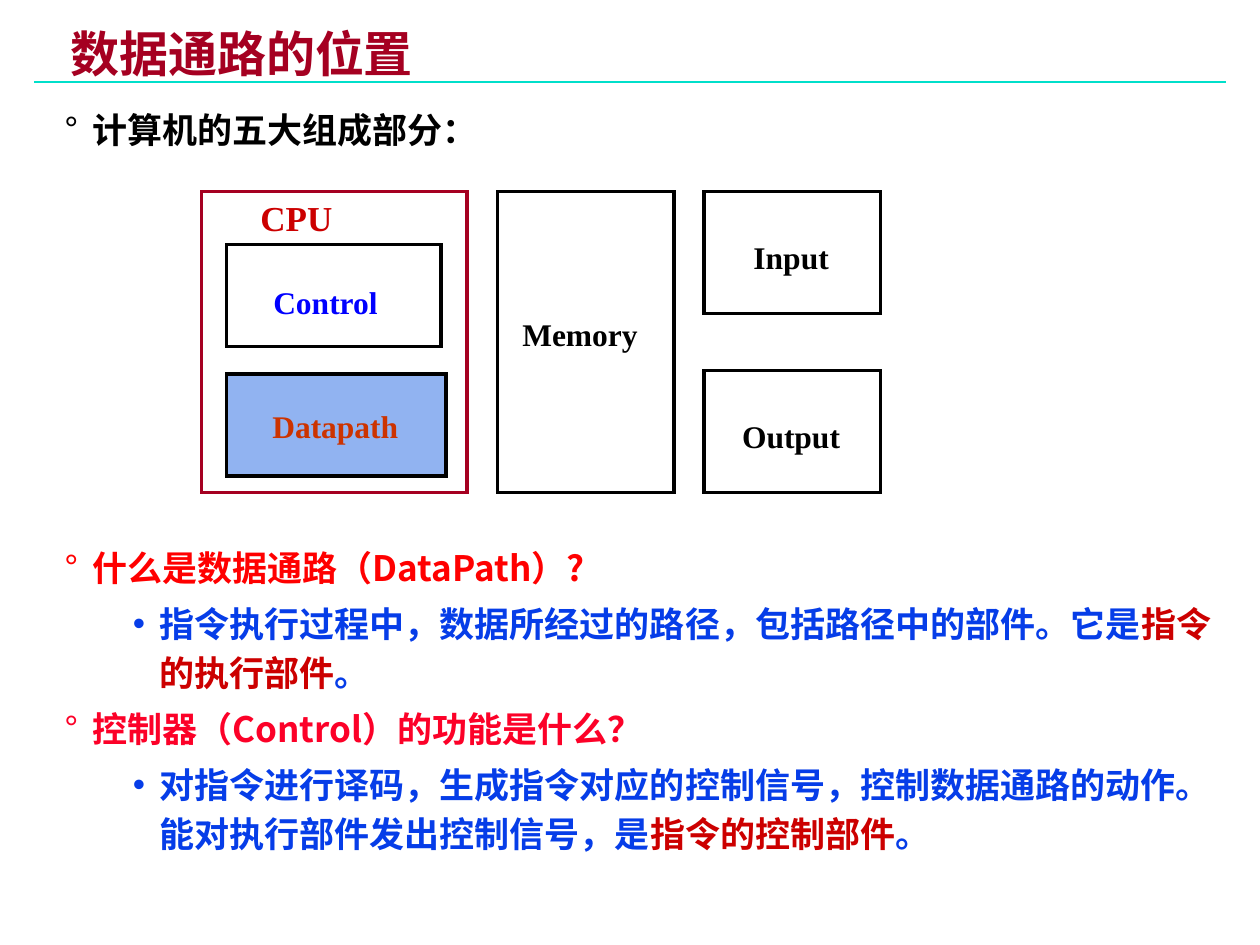
from lxml.etree import SubElement
from pptx import Presentation
from pptx.dml.color import RGBColor
from pptx.enum.shapes import MSO_CONNECTOR, MSO_SHAPE
from pptx.enum.text import PP_ALIGN
from pptx.oxml.ns import qn
from pptx.util import Cm, Pt

COLORS = {
    "crimson": "A50021", "rule": "00DFCA", "black": "000000", "red": "FF0000",
    "rose": "FC0128", "blue": "063DE8", "key": "CC0000",
    "control": "0000FF", "datapath": "CC3300", "datapath_fill": "91B3F1",
}
SANS, SERIF, TITLE = "Noto Sans CJK SC", "Times New Roman", "Arial"

# Bullet, left margin and hanging indent (cm) of each outline level
LEVELS = [("°", 0.56, 0.56), ("•", 1.91, 0.53)]

# Text, colour, size, frame (x, y, w, h), label (x, y, w in the frame), frame line, fill
COMPONENTS = [
    ("CPU", "key", 20, (0, 0, 5.36, 6.07), (0.94, -0.03, 2.3), "crimson", None),
    ("Control", "control", 18, (0.51, 1.07, 4.32, 2.06), (0.69, 0.64, 3), "black", None),
    ("Datapath", "datapath", 18, (0.51, 3.68, 4.42, 2.06), (0.67, 0.54, 3.35),
     "black", "datapath_fill"),
    ("Memory", "black", 18, (5.97, 0, 3.56, 6.07), (0.25, 2.36, 3.2), "black", None),
    ("Input", "black", 18, (10.13, 0, 3.56, 2.46), (0.75, 0.81, 2.4), "black", None),
    ("Output", "black", 18, (10.13, 3.61, 3.56, 2.46), (0.52, 0.81, 2.9), "black", None),
]

INTRO = [(0, [("计算机的五大组成部分：", "black")])]
QUESTIONS = [
    (0, [("什么是数据通路（DataPath）?", "red")]),
    (1, [("指令执行过程中，数据所经过的路径，包括路径中的部件。它是", "blue"),
         ("指令的执行部件", "key"), ("。", "blue")]),
    (0, [("控制器（Control）的功能是什么？", "rose")]),
    (1, [("对指令进行译码，生成指令对应的控制信号，控制数据通路的动作。"
          "能对执行部件发出控制信号，是", "blue"),
         ("指令的控制部件", "key"), ("。", "blue")]),
]


def rgb(name):
    return RGBColor.from_string(COLORS[name])


def add_run(paragraph, text, size, color, font):
    run = paragraph.add_run()
    run.text = text
    run.font.size = Pt(size)
    run.font.bold = True
    run.font.name = font
    run.font.color.rgb = rgb(color)
    SubElement(run.font._element, qn("a:ea"), typeface=SANS)


def add_frame(slide, x, y, w, h, margins, wrap=True):
    """Adds a text box and returns its text frame."""
    frame = slide.shapes.add_textbox(Cm(x), Cm(y), Cm(w), Cm(h)).text_frame
    frame.word_wrap = wrap
    frame.margin_left = frame.margin_right = Cm(margins[0])
    frame.margin_top = frame.margin_bottom = Cm(margins[1])
    return frame


def add_title(slide, x, y, w, h):
    rule = slide.shapes.add_connector(
        MSO_CONNECTOR.STRAIGHT, Cm(0.69), Cm(y + 1.09), Cm(24.71), Cm(y + 1.09))
    rule.line.color.rgb = rgb("rule")
    rule.line.width = Pt(1.5)
    SubElement(rule._element.spPr, qn("a:effectLst"))
    heading = add_frame(slide, x, y, w, h, (0.18, 0.08)).paragraphs[0]
    heading.line_spacing = 0.87
    add_run(heading, "数据通路的位置", 28, "crimson", TITLE)


def add_outline(slide, x, y, w, h, points, line_spacing=None):
    frame = add_frame(slide, x, y, w, h, (0.18, 0.08))
    for i, (level, runs) in enumerate(points):
        point = frame.add_paragraph() if i else frame.paragraphs[0]
        point.level = level
        bullet, margin, hanging = LEVELS[level]
        properties = point._p.get_or_add_pPr()
        properties.set("marL", str(Cm(margin)))
        properties.set("indent", str(-Cm(hanging)))
        SubElement(properties, qn("a:buFont"), typeface=TITLE)
        SubElement(properties, qn("a:buChar"), char=bullet)
        point.line_spacing = line_spacing
        if i:
            point.space_before = Pt(4)
        for text, color in runs:
            add_run(point, text, 20, color, SANS)


def add_component(slide, x, y, component):
    """Draws one computer part; x and y are the corner of the diagram."""
    text, color, size, (dx, dy, w, h), (label_x, label_y, label_w), line, fill = component
    left, top = x + dx, y + dy
    box = slide.shapes.add_shape(MSO_SHAPE.RECTANGLE, Cm(left), Cm(top), Cm(w), Cm(h))
    box.shadow.inherit = False
    box.line.color.rgb = rgb(line)
    box.line.width = Pt(2)
    SubElement(box.line._get_or_add_ln(), qn("a:miter"), lim="800000")
    if fill:
        box.fill.solid()
        box.fill.fore_color.rgb = rgb(fill)
    else:
        box.fill.background()
    label = add_frame(slide, left + label_x, top + label_y, label_w, 1.02,
                      (0.25, 0.13), wrap=False).paragraphs[0]
    label.alignment = PP_ALIGN.LEFT
    add_run(label, text, size, color, SERIF)


def add_diagram(slide, x, y):
    for component in COMPONENTS:
        add_component(slide, x, y, component)


def main():
    deck = Presentation()
    deck.slide_width, deck.slide_height = Cm(25.4), Cm(19.05)
    slide = deck.slides.add_slide(deck.slide_layouts[6])
    add_title(slide, 1.24, 0.56, 20.6, 1.17)
    add_outline(slide, 1.12, 2.11, 23.57, 1.2, INTRO)
    add_diagram(slide, 4.06, 3.86)
    add_outline(slide, 1.12, 10.79, 23.57, 7, QUESTIONS, Pt(28))
    deck.save("out.pptx")


if __name__ == "__main__":
    main()
